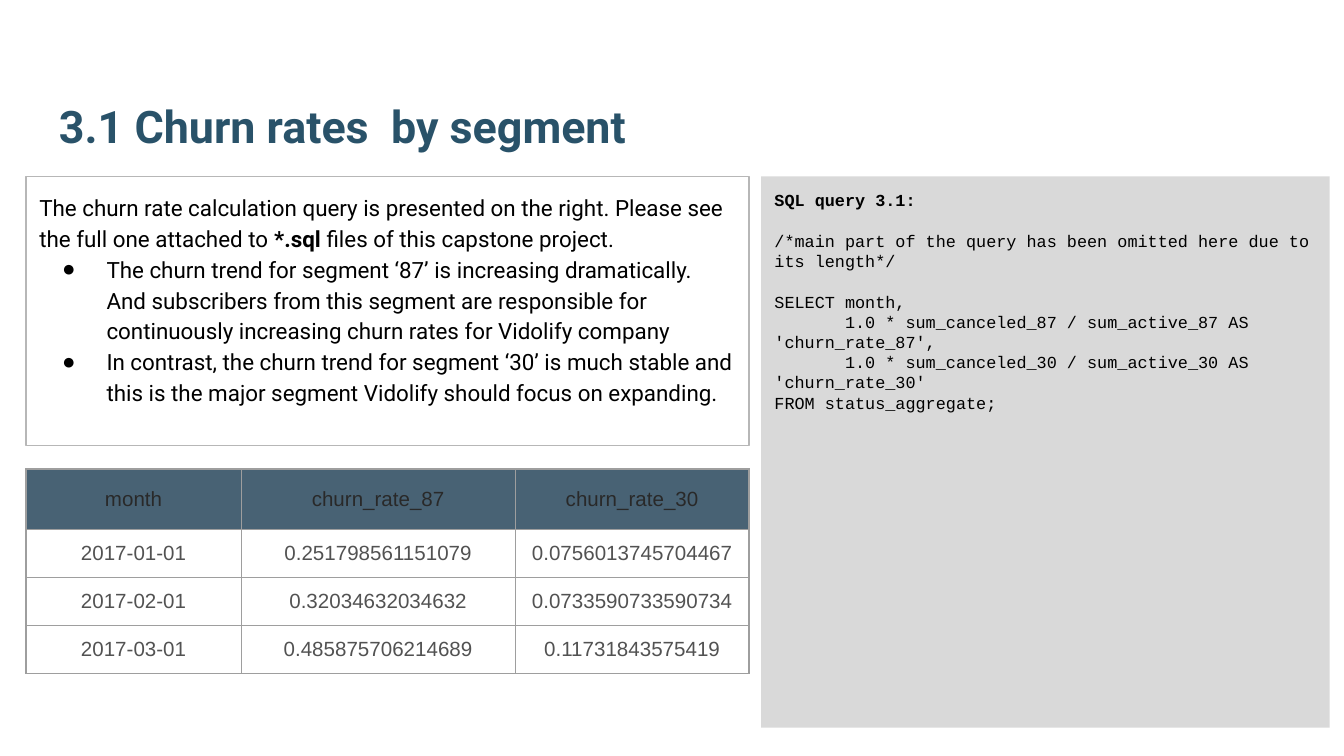
from lxml.etree import SubElement
from pptx import Presentation
from pptx.dml.color import RGBColor
from pptx.enum.shapes import MSO_SHAPE
from pptx.enum.text import MSO_ANCHOR, PP_ALIGN
from pptx.oxml.ns import qn
from pptx.util import Inches, Pt

W = Inches(10)
H = W * 9 // 16
PAD = Inches(0.1)
COLORS = {
    "title": "295269", "text": "000000", "panel": "D9D9D9", "frame": "B7B7B7",
    "grid": "9E9E9E", "header": "204056", "header_text": "292929", "cell_text": "525252",
}
LEFT, LEFT_W = 1.94, 53.8
TOP = 23.35

INTRO = [
    ("The churn rate calculation query is presented on the right. "
     "Please see the full one attached to ", False),
    ("*.sql ", True),
    ("files of this capstone project.", False),
]
FINDINGS = [
    "The churn trend for segment ‘87’ is increasing dramatically. And subscribers from this "
    "segment are responsible for continuously increasing churn rates for Vidolify company",
    "In contrast, the churn trend for segment ‘30’ is much stable and this is the major "
    "segment Vidolify should focus on expanding.",
]
QUERY = [
    ["SQL query 3.1:"],
    ["/*main part of the query has been omitted here due to its length*/"],
    ["SELECT month,",
     "       1.0 * sum_canceled_87 / sum_active_87 AS 'churn_rate_87',",
     "       1.0 * sum_canceled_30 / sum_active_30 AS 'churn_rate_30'",
     "FROM status_aggregate;"],
]
RATES = [
    ["month", "churn_rate_87", "churn_rate_30"],
    ["2017-01-01", "0.251798561151079", "0.0756013745704467"],
    ["2017-02-01", "0.32034632034632", "0.0733590733590734"],
    ["2017-03-01", "0.485875706214689", "0.11731843575419"],
]
COL_WEIGHTS = (1.6, 2.04, 1.74)
ROW_WEIGHTS = (0.45, 0.36, 0.36, 0.36)


def rgb(name):
    """Return the named colour."""
    return RGBColor.from_string(COLORS[name])


def place(box):
    """Turn percentages of the slide into lengths."""
    return [int(share * side / 100) for share, side in zip(box, (W, H, W, H))]


def split(total, weights):
    """Divide a length in proportion to the weights."""
    return [int(total * weight / sum(weights)) for weight in weights]


def add_run(p, text, font, size, color, bold=False):
    """Append a formatted run to a paragraph."""
    r = p.add_run()
    r.text = text
    r.font.name, r.font.size, r.font.bold = font, Pt(size), bold
    r.font.color.rgb = rgb(color)


def set_frame(tf, anchor):
    """Set wrapping, margins and anchor of a text frame."""
    tf.word_wrap = True
    tf.margin_left = tf.margin_right = tf.margin_top = tf.margin_bottom = PAD
    tf.vertical_anchor = anchor


def add_panel(slide, box, fill=None, line=None):
    """Add a rectangle and return its text frame."""
    sp = slide.shapes.add_shape(MSO_SHAPE.RECTANGLE, *place(box))
    sp.shadow.inherit = False
    if fill:
        sp.fill.solid()
        sp.fill.fore_color.rgb = rgb(fill)
    else:
        sp.fill.background()
    if line:
        sp.line.color.rgb = rgb(line)
        sp.line.width = Pt(0.75)
    else:
        sp.line.fill.background()
    set_frame(sp.text_frame, MSO_ANCHOR.TOP)
    return sp.text_frame


def next_paragraph(tf):
    """Return the empty first paragraph, or a new one, aligned left."""
    first = tf.paragraphs[0]
    p = tf.add_paragraph() if first.runs else first
    p.alignment = PP_ALIGN.LEFT
    return p


def add_bullet(p):
    """Give a paragraph a hanging round bullet."""
    pPr = p._p.get_or_add_pPr()
    pPr.set("marL", str(Inches(0.5)))
    pPr.set("indent", str(Inches(-0.33)))
    clr = SubElement(pPr, qn("a:buClr"))
    SubElement(clr, qn("a:srgbClr"), val=COLORS["text"])
    SubElement(pPr, qn("a:buFont"), typeface="Arial")
    SubElement(pPr, qn("a:buChar"), char="●")


def add_title(slide, box):
    """Place the slide title."""
    tf = slide.shapes.add_textbox(*place(box)).text_frame
    set_frame(tf, MSO_ANCHOR.BOTTOM)
    add_run(tf.paragraphs[0], "3.1 Churn rates  by segment", "Roboto", 24, "title", True)


def add_query(slide, box):
    """Place the SQL panel, with a line of space between blocks."""
    tf = add_panel(slide, box, fill="panel")
    for i, block in enumerate(QUERY):
        for j, line in enumerate(block):
            p = next_paragraph(tf)
            if i and not j:
                p.space_before = Pt(10.9)
            add_run(p, line, "Courier New", 9, "text", i == 0)


def add_findings(slide, box):
    """Place the framed introduction and its bullets."""
    tf = add_panel(slide, box, line="frame")
    for i, parts in enumerate([INTRO] + [[(text, False)] for text in FINDINGS]):
        p = next_paragraph(tf)
        p.line_spacing = 1.15
        if i:
            add_bullet(p)
        for text, bold in parts:
            add_run(p, text, "Roboto", 12, "text", bold)


def add_borders(cell):
    """Draw the four thin borders of a cell."""
    tcPr = cell._tc.get_or_add_tcPr()
    for i, side in enumerate(("lnL", "lnR", "lnT", "lnB")):
        ln = tcPr.makeelement(qn(f"a:{side}"), {"w": str(Pt(0.75))})
        fill = SubElement(ln, qn("a:solidFill"))
        SubElement(fill, qn("a:srgbClr"), val=COLORS["grid"])
        tcPr.insert(i, ln)


def fill_header(cell):
    """Fill a heading cell with the translucent header colour."""
    cell.fill.solid()
    cell.fill.fore_color.rgb = rgb("header")
    clr = cell._tc.tcPr.find(f".//{qn('a:srgbClr')}")
    SubElement(clr, qn("a:alpha"), val="82000")


def add_rates(slide, box):
    """Place the table of churn rates."""
    x, y, w, h = place(box)
    table = slide.shapes.add_table(len(RATES), len(RATES[0]), x, y, w, h).table
    for col, width in zip(table.columns, split(w, COL_WEIGHTS)):
        col.width = width
    for row, height in zip(table.rows, split(h, ROW_WEIGHTS)):
        row.height = height
    for i, values in enumerate(RATES):
        for j, value in enumerate(values):
            cell = table.cell(i, j)
            cell.margin_left = cell.margin_right = PAD
            cell.margin_top = cell.margin_bottom = PAD // 2
            cell.vertical_anchor = MSO_ANCHOR.MIDDLE
            p = cell.text_frame.paragraphs[0]
            p.alignment = PP_ALIGN.CENTER
            add_run(p, value, "Arial", 11, "cell_text" if i else "header_text")
            if i:
                cell.fill.background()
            else:
                fill_header(cell)
            add_borders(cell)


def main():
    """Build and save the slide."""
    prs = Presentation()
    prs.slide_width, prs.slide_height = W, H
    slide = prs.slides.add_slide(prs.slide_layouts[6])
    add_title(slide, (3.4, 5.65, 93.2, 16.35))
    add_query(slide, (56.64, TOP, 42.3, 72.9))
    add_findings(slide, (LEFT, TOP, LEFT_W, 35.6))
    add_rates(slide, (LEFT, 62.05, LEFT_W, 27.1))
    prs.save("out.pptx")


if __name__ == "__main__":
    main()
